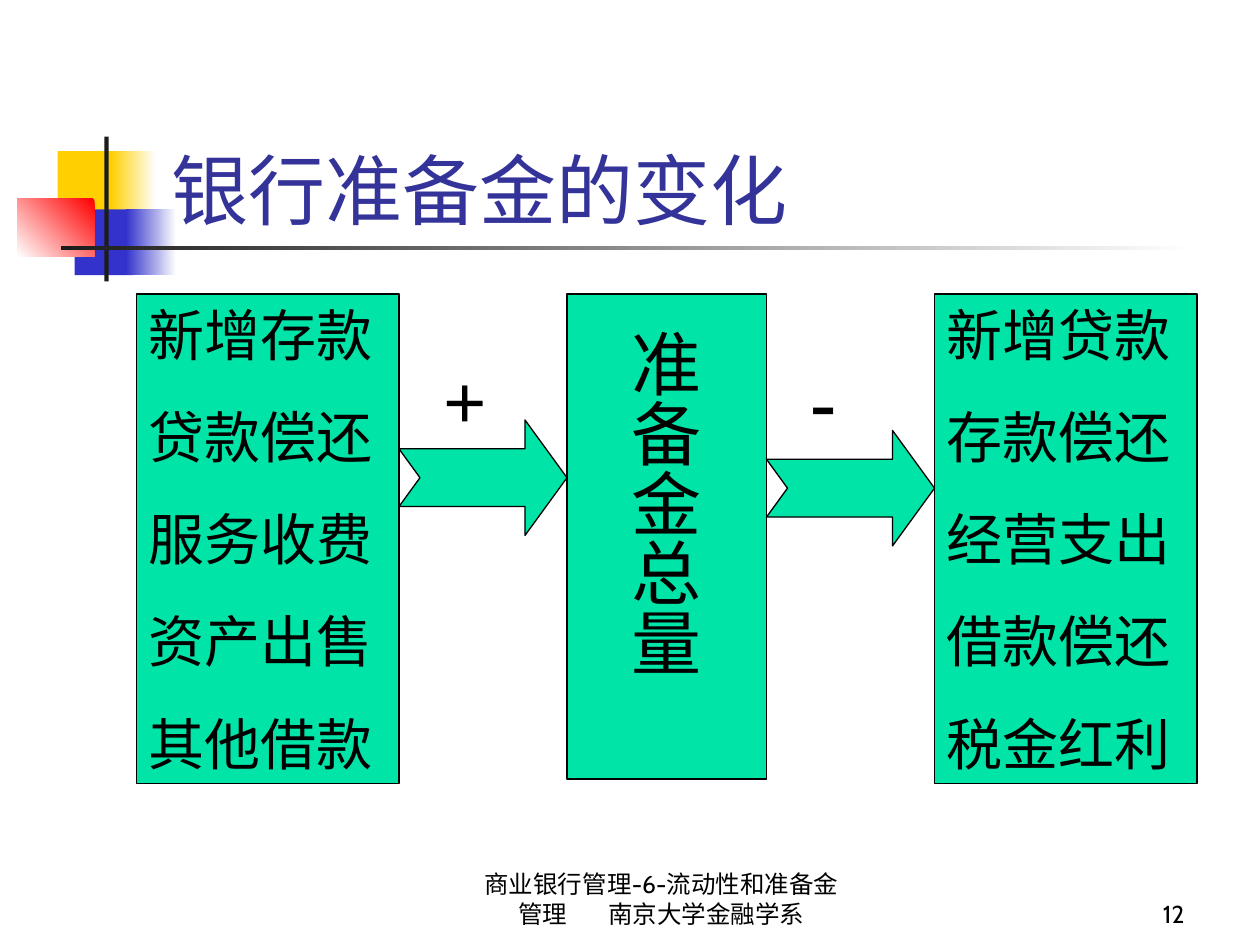
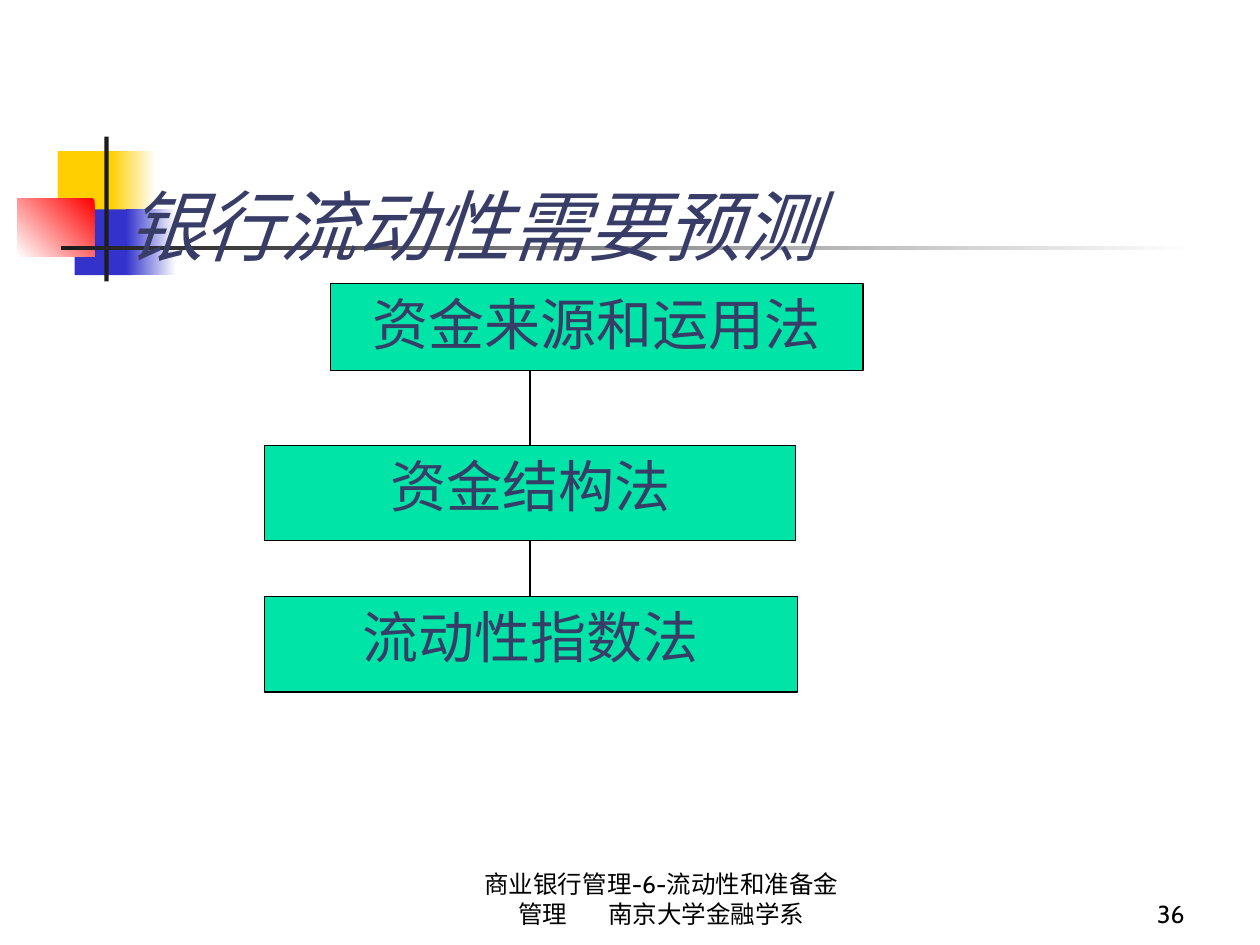
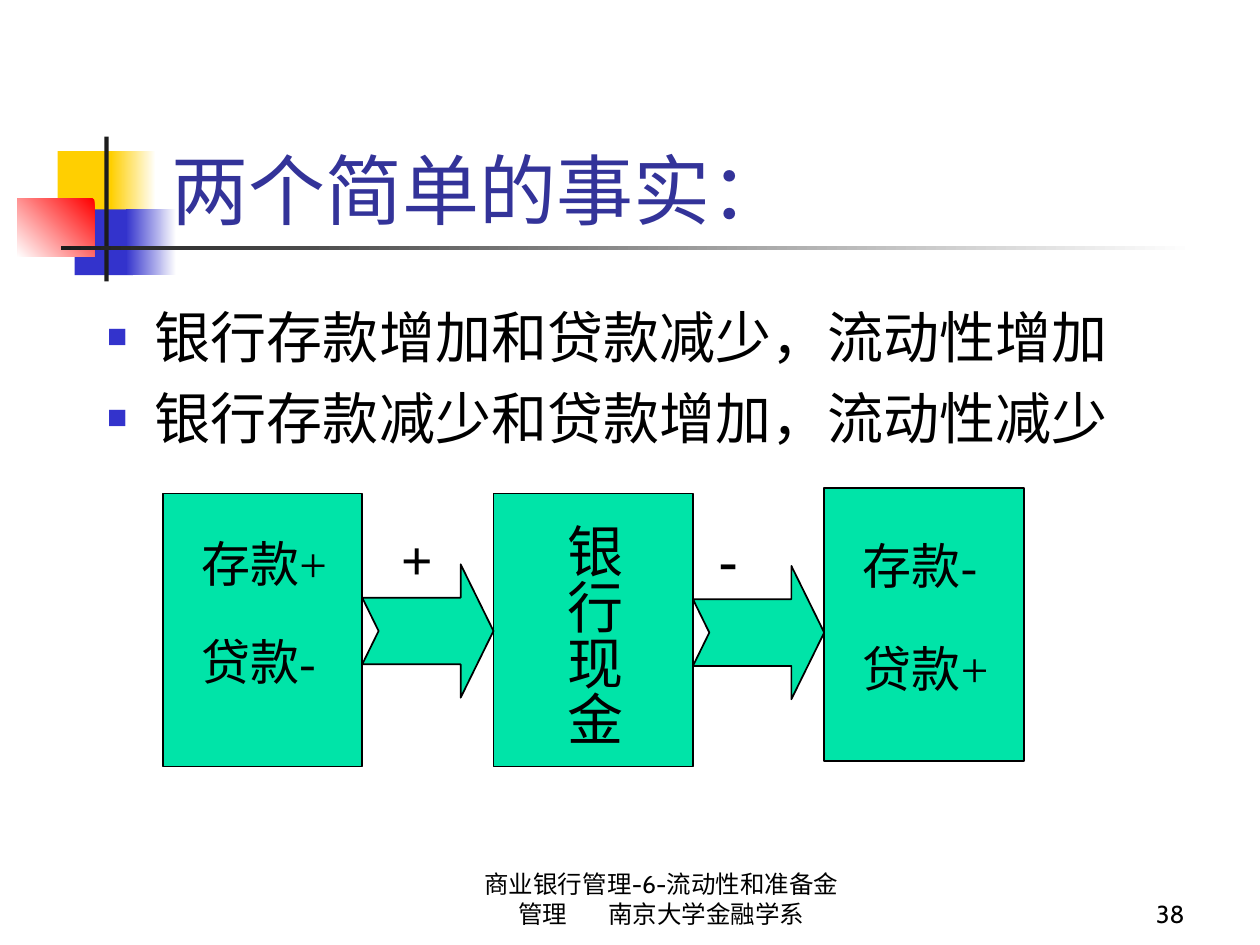
from pptx import Presentation
from pptx.dml.color import RGBColor as Rgb
from pptx.enum.lang import MSO_LANGUAGE_ID as Lang
from pptx.enum.shapes import MSO_CONNECTOR as Conn, MSO_SHAPE as Kind
from pptx.enum.text import MSO_ANCHOR as Anchor, MSO_AUTO_SIZE as Auto, PP_ALIGN as Align
from pptx.oxml.ns import qn
from pptx.util import Inches, Pt
from lxml.etree import SubElement as Sub

CELL = Inches(1) / 12
CABIN, TIMES, NOTO = "Cabin", "Times New Roman", "Noto Sans CJK SC"
BLACK, WHITE, GREEN = "000000", "FFFFFF", "00E4A8"
NAVY, SLATE, BLUE, GOLD, DARK = "333399", "383D68", "3333CC", "FFCF01", "1C1C1C"
FOOT = "商业银行管理-6-流动性和准备金管理", " ", "南京大学金融学系"
ART = [
    ((5.5, 14.4, 5.75, 6.25), GOLD, None, 0),
    ((10.55, 14.4, 4.3, 6.25), WHITE, GOLD, 180),
    ((7.1, 19.95, 5.55, 6.25), BLUE, None, 0),
    ((12, 19.95, 4.8, 6.25), WHITE, BLUE, 180),
    ((1.65, 18.95, 7.35, 5.5), "FF0000", WHITE, 225),
    ((9.95, 13, 0.4, 13.8), DARK, None, 0),
    ((5.8, 23.4, 108, 0.4), WHITE, DARK, 180),
]


def color(code):
    return Rgb.from_string(code)


def grid(*cells):
    return [round(cell * CELL) for cell in cells]


class Deck:
    def __init__(self):
        self.show = Presentation()
        self.show.slide_width, self.show.slide_height = grid(120, 90)
        self.slide = None

    def page(self, number, title, at=(15.1, 8, 102.2, 15), font=CABIN, ink=NAVY, italic=False, body=False):
        first = self.slide is None
        self.slide = self.show.slides.add_slide(self.show.slide_layouts[1 if body else 5])
        if first:
            self.art()
        head = self.place(self.slide.shapes.title, at)
        self.label(head, [title], 44, font, ink, anchor=Anchor.BOTTOM, italic=italic)
        foot = self.text((44, 83, 38, 6), [""], 14, CABIN, align=Align.CENTER, anchor=Anchor.BOTTOM)
        para = foot.text_frame.paragraphs[0]
        for part in FOOT:
            para.add_run().text = part
        for run in para.runs:
            self.ink(run, 14, CABIN, BLACK)
            if run.text == " ":
                run.font._element.set("spc", "2000")
        self.text((89, 83, 25, 6), [number], 14, CABIN, align=Align.RIGHT, anchor=Anchor.BOTTOM)

    def art(self):
        tree = self.show.slide_master.shapes.element
        for index, (at, start, end, angle) in enumerate(ART):
            shape = self.box(at, start, 0)
            if end:
                shape.fill.gradient()
                shape.fill.gradient_angle = angle
                for stop, code in zip(shape.fill.gradient_stops, (start, end)):
                    stop.color.rgb = color(code)
            shape.element.nvSpPr.cNvPr.set("id", str(20 + index))
            tree.append(shape.element)

    def place(self, shape, at):
        shape.left, shape.top, shape.width, shape.height = grid(*at)
        return shape

    def paint(self, shape, fill, width):
        shape.fill.solid()
        shape.fill.fore_color.rgb = color(fill)
        if width:
            shape.line.color.rgb = color(BLACK)
            shape.line.width = Pt(width)
        else:
            shape.line.fill.background()
        return shape

    def box(self, at, fill=GREEN, width=0.75):
        shape = self.slide.shapes.add_shape(Kind.RECTANGLE, *grid(*at))
        shape.shadow.inherit = False
        return self.paint(shape, fill, width)

    def arrow(self, x, y, w, h, width):
        neck, notch = x + w * 0.75, x + w * 0.125
        high, mid, low = y + h / 4, y + h / 2, y + h * 0.75
        dots = [(neck, high), (neck, y), (x + w, mid), (neck, y + h), (neck, low), (x, low), (notch, mid)]
        edge = self.slide.shapes.build_freeform(*grid(x, high))
        edge.add_line_segments([grid(*dot) for dot in dots])
        shape = edge.convert_to_shape()
        shape.shadow.inherit = False
        self.paint(shape, GREEN, width)

    def line(self, *ends):
        line = self.slide.shapes.add_connector(Conn.STRAIGHT, *grid(*ends))
        line.line.color.rgb = color(BLACK)
        line.line.width = Pt(1)
        Sub(line.element.spPr, qn("a:effectLst"))
        self.slide.shapes.element.insert(2, line.element)

    def text(self, at, lines, size, font=TIMES, **style):
        return self.label(self.slide.shapes.add_textbox(*grid(*at)), lines, size, font, **style)

    def tall(self, at, text, size):
        shape = self.text(at, [text], size, align=Align.CENTER, anchor=Anchor.MIDDLE)
        frame = shape.text_frame
        frame._txBody.bodyPr.set("vert", "eaVert")
        frame.margin_left = frame.margin_right = Inches(0.05)
        frame.margin_top = frame.margin_bottom = Inches(0.1)

    def label(self, shape, lines, size, font=TIMES, ink=BLACK, align=Align.LEFT, anchor=Anchor.TOP,
              gap=0, hang=False, mark=None, bold=False, italic=False):
        frame = shape.text_frame
        frame.text = "\n".join(lines)
        frame.word_wrap, frame.auto_size = True, Auto.NONE
        frame.vertical_anchor = anchor
        frame.margin_left = frame.margin_right = Inches(0.1)
        frame.margin_top = frame.margin_bottom = Inches(0.05)
        for index, para in enumerate(frame.paragraphs):
            props = para._p.get_or_add_pPr()
            dent = Inches(0.38) if hang else 0
            props.set("marL", str(dent))
            props.set("indent", str(-dent))
            if mark:
                Sub(Sub(props, qn("a:buClr")), qn("a:srgbClr"), val=BLUE)
                Sub(props, qn("a:buSzPct"), val="60000")
                Sub(props, qn("a:buChar"), char=mark)
            else:
                Sub(props, qn("a:buNone"))
            para.alignment = align
            para.space_before = Pt(gap if index else 0)
            for run in para.runs:
                self.ink(run, size, font, ink, bold, italic)
        return shape

    def ink(self, run, size, font, code, bold=False, italic=False):
        face = run.font
        face.size, face.name, face.bold, face.italic = Pt(size), font, bold, italic
        face.color.rgb = color(code)
        face.language_id = Lang.SIMPLIFIED_CHINESE
        Sub(face._element, qn("a:ea"), typeface=CABIN)


def change(deck):
    deck.page("12", "银行准备金的变化")
    deck.box((54, 28, 19, 46.2))
    deck.tall((58.1, 30.1, 10.3, 41), "准备金总量", 40)
    sides = [
        (13, ["新增存款", "贷款偿还", "服务收费", "资产出售", "其他借款"]),
        (89, ["新增贷款", "存款偿还", "经营支出", "借款偿还", "税金红利"]),
    ]
    for left, lines in sides:
        deck.label(deck.box((left, 28, 25, 46.6)), lines, 32, gap=20)
    for sign, left, x, y in [("+", 41, 38, 40), ("-", 76, 73, 41)]:
        deck.arrow(x, y, 16, 11, 0.75)
        deck.text((left, 33, 8, 10), [sign], 44, bold=True)


def methods(deck):
    deck.page("36", "银行流动性需要预测", (10.8, 11.4, 97.7, 15), NOTO, SLATE, True, True)
    deck.line(50.5, 33.5, 50.5, 62.5)
    body = deck.place(deck.slide.placeholders[1], (31.45, 27, 50.75, 8.3))
    boxes = [
        (deck.paint(body, GREEN, 0.75), "资金来源和运用法"),
        (deck.box((25.2, 42.4, 50.6, 9.1)), "资金结构法"),
        (deck.box((25.2, 56.8, 50.75, 9.1)), "流动性指数法"),
    ]
    for shape, name in boxes:
        deck.label(shape, [name], 32, ink=SLATE, align=Align.CENTER, hang=True)


def facts(deck):
    deck.page("38", "两个简单的事实：", body=True)
    body = deck.place(deck.slide.placeholders[1], (9, 28.2, 103, 54))
    lines = ["银行存款增加和贷款减少，流动性增加", "银行存款减少和贷款增加，流动性减少"]
    deck.label(body, lines, 32, CABIN, align=Align.JUSTIFY, gap=8, hang=True, mark="■")
    for left, top in [(15.5, 47), (47, 47), (78.5, 46.5)]:
        deck.box((left, top, 19, 26), width=1)
    deck.tall((52.1, 48.6, 8.8, 24.5), "银行现金", 32)
    notes = [("存款+", 18, 50.2), ("贷款-", 18, 59.6), ("存款-", 81, 50.4), ("贷款+", 81, 60.2)]
    for note, left, top in notes:
        deck.text((left, top, 16.5, 6.8), [note], 28)
    for sign, left, x, y in [("+", 37, 34.5, 53.75), ("-", 67.3, 66, 53.9)]:
        deck.arrow(x, y, 12.5, 12.7, 1)
        deck.text((left, 49.4, 6.7, 7.7), [sign], 32, bold=True)


def main():
    deck = Deck()
    for build in (change, methods, facts):
        build(deck)
    deck.show.save("out.pptx")


if __name__ == "__main__":
    main()
